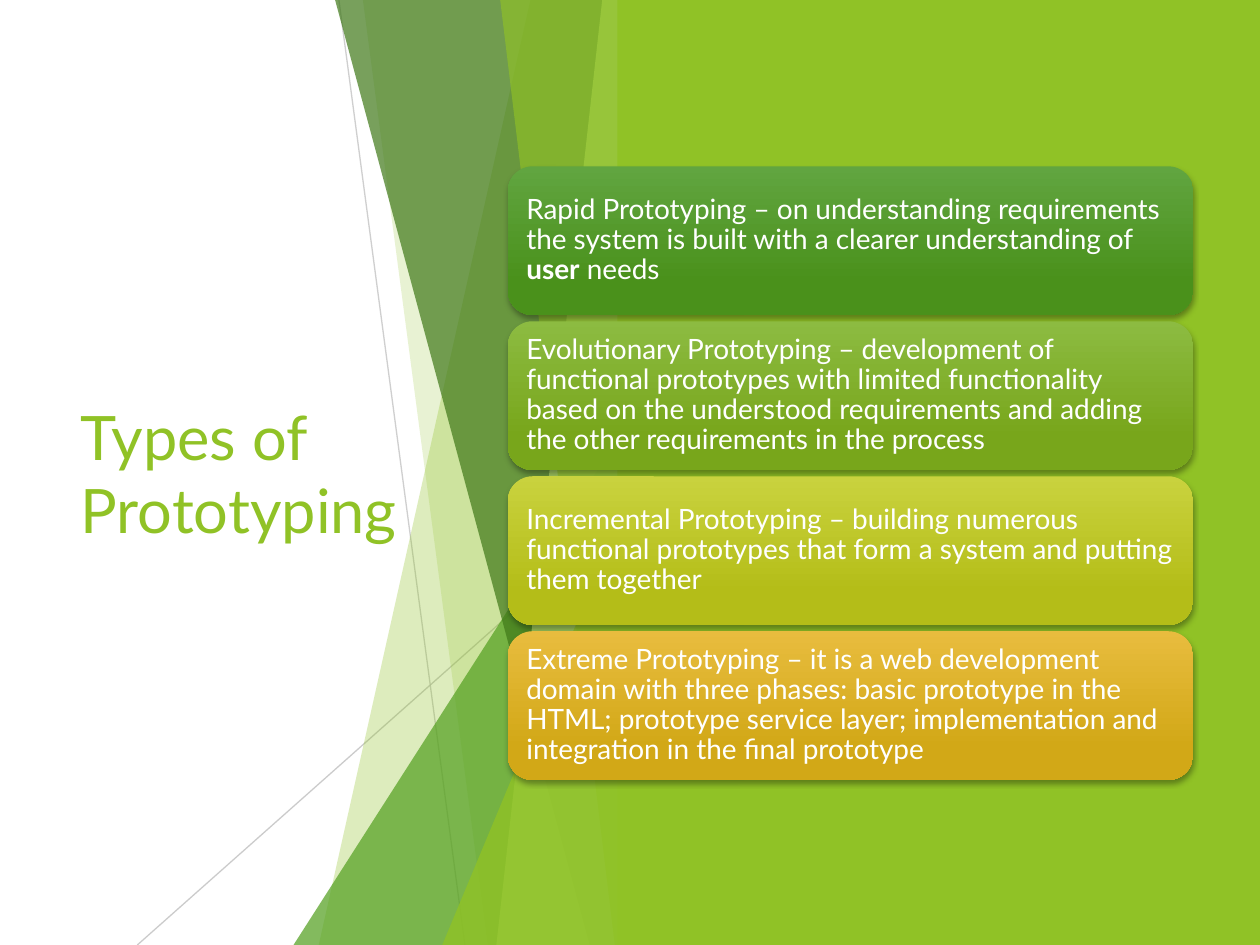
from lxml.etree import SubElement
from pptx import Presentation
from pptx.dml.color import RGBColor
from pptx.enum.shapes import MSO_CONNECTOR, MSO_SHAPE
from pptx.enum.text import MSO_ANCHOR, MSO_AUTO_SIZE, PP_ALIGN
from pptx.oxml.ns import qn
from pptx.util import Inches, Pt

FONT = "Lato"
COLORS = {
    "white": "FFFFFF", "lime": "90C226", "green": "54A021", "forest": "3F7818",
    "pale": "BFE471", "grey": "BFBFBF", "black": "000000",
}
WIDTH, HEIGHT = Inches(10), Inches(7.5)


def place(x, y):
    """Turn percentages of the slide's width and height into lengths."""
    return round(WIDTH * x / 100), round(HEIGHT * y / 100)


def paint(fill, color, opacity=100):
    """Fill solidly, with opacity in percent."""
    fill.solid()
    fill.fore_color.rgb = RGBColor.from_string(COLORS[color])
    if opacity < 100:
        for tone in fill._xPr.iter(qn("a:srgbClr")):
            SubElement(tone, qn("a:alpha"), val=str(opacity * 1000))


deck = Presentation()
deck.slide_width, deck.slide_height = WIDTH, HEIGHT
page = deck.slides.add_slide(deck.slide_layouts[5])
paint(page.background.fill, "white")

# Title
title = page.shapes.title
title.left, title.top = place(5.4, 20.13)
title.width, title.height = place(29.1, 59.73)
title.text = "Types of Prototyping"
title.text_frame.word_wrap = True
title.text_frame.auto_size = MSO_AUTO_SIZE.NONE
title.text_frame.vertical_anchor = MSO_ANCHOR.MIDDLE
para = title.text_frame.paragraphs[0]
para.alignment = PP_ALIGN.LEFT
para.font.name, para.font.size = FONT, Pt(35)
para.font.color.rgb = RGBColor.from_string(COLORS["lime"])

# Thin rays behind the facets: start, end, opacity
for start, end, opacity in [
    ((26.9, 0), (36.9, 100), 75),
    ((50, 53.73), (10.9, 100), 80),
]:
    ray = page.shapes.add_connector(MSO_CONNECTOR.STRAIGHT, *place(*start), *place(*end))
    ray.line.width = Pt(0.75)
    paint(ray.line.fill, "grey", opacity)
    SubElement(ray._element.spPr, qn("a:effectLst"))

# Facets share their right edge: x at top, x at bottom, top, colour, opacity
FACET_EDGE = 50
for top_x, bottom_x, top, color, opacity in [
    (42.1, 25.3, 0, "lime", 30),
    (28.8, 38.7, 0, "lime", 20),
    (FACET_EDGE, 23.3, 44.4, "green", 72),
    (26.6, 46.8, 0, "forest", 70),
    (47.8, 39.4, 0, "pale", 70),
    (39.7, 48.8, 0, "lime", 65),
    (FACET_EDGE, 35.1, 52.4, "lime", 80),
]:
    if top_x == FACET_EDGE:
        facet = page.shapes.add_shape(
            MSO_SHAPE.ISOSCELES_TRIANGLE, *place(bottom_x, top),
            *place(FACET_EDGE - bottom_x, 100 - top))
        facet.adjustments[0] = 1
    else:
        outline = page.shapes.build_freeform(*place(top_x, top))
        outline.add_line_segments(
            [place(FACET_EDGE, top), place(FACET_EDGE, 100), place(bottom_x, 100)])
        facet = outline.convert_to_shape()
    paint(facet.fill, color, opacity)
    facet.line.fill.background()
    facet.shadow.inherit = False

panel = page.shapes.add_shape(MSO_SHAPE.RECTANGLE, *place(49, 0), *place(51, 100))
paint(panel.fill, "lime")
panel.line.fill.background()
panel.shadow.inherit = False

# Cards: gradient from top to bottom, then runs of text with every second one bold
CARD_TOP, CARD_PITCH = 17.6, 16.4
cards = [
    ("61A540", "4A911B", [
        "Rapid Prototyping – on understanding requirements the system is built "
        "with a clearer understanding of ", "user", " needs"]),
    ("8CBB41", "78A61B", [
        "Evolutionary Prototyping – development of functional prototypes with "
        "limited functionality based on the understood requirements and adding "
        "the other requirements in the process"]),
    ("C9D23E", "B4BD18", [
        "Incremental Prototyping – building numerous functional prototypes that "
        "form a system and putting them together"]),
    ("E8BC3E", "D2A817", [
        "Extreme Prototyping – it is a web development domain with three phases: "
        "basic prototype in the HTML; prototype service layer; implementation "
        "and integration in the final prototype"]),
]
for row, (light, dark, texts) in enumerate(cards):
    card = page.shapes.add_shape(
        MSO_SHAPE.ROUNDED_RECTANGLE, *place(40.3, CARD_TOP + row * CARD_PITCH),
        *place(54.4, 15.73))
    card.fill.gradient()
    card.fill.gradient_angle = 270
    for stop, color, position in zip(card.fill.gradient_stops, (light, dark), (0, 0.78)):
        stop.color.rgb = RGBColor.from_string(color)
        stop.position = position
    card.line.fill.background()

    card.shadow.inherit = False
    effects = card._element.spPr.find(qn("a:effectLst"))
    shadow = SubElement(effects, qn("a:outerShdw"), blurRad=str(Pt(3)),
                        dist=str(Pt(2)), dir="5400000", rotWithShape="0")
    tone = SubElement(shadow, qn("a:srgbClr"), val=COLORS["black"])
    SubElement(tone, qn("a:alpha"), val="35000")

    frame = card.text_frame
    frame.word_wrap = True
    frame.vertical_anchor = MSO_ANCHOR.MIDDLE
    frame.margin_left = frame.margin_right = Inches(0.09)
    frame.margin_top = frame.margin_bottom = Inches(0.07)
    para = frame.paragraphs[0]
    para.alignment = PP_ALIGN.LEFT
    para.line_spacing = 0.9
    para.font.name, para.font.size = FONT, Pt(16)
    para.font.color.rgb = RGBColor.from_string(COLORS["white"])
    for index, text in enumerate(texts):
        span = para.add_run()
        span.text = text
        if index % 2:
            span.font.bold = True

deck.save("out.pptx")
